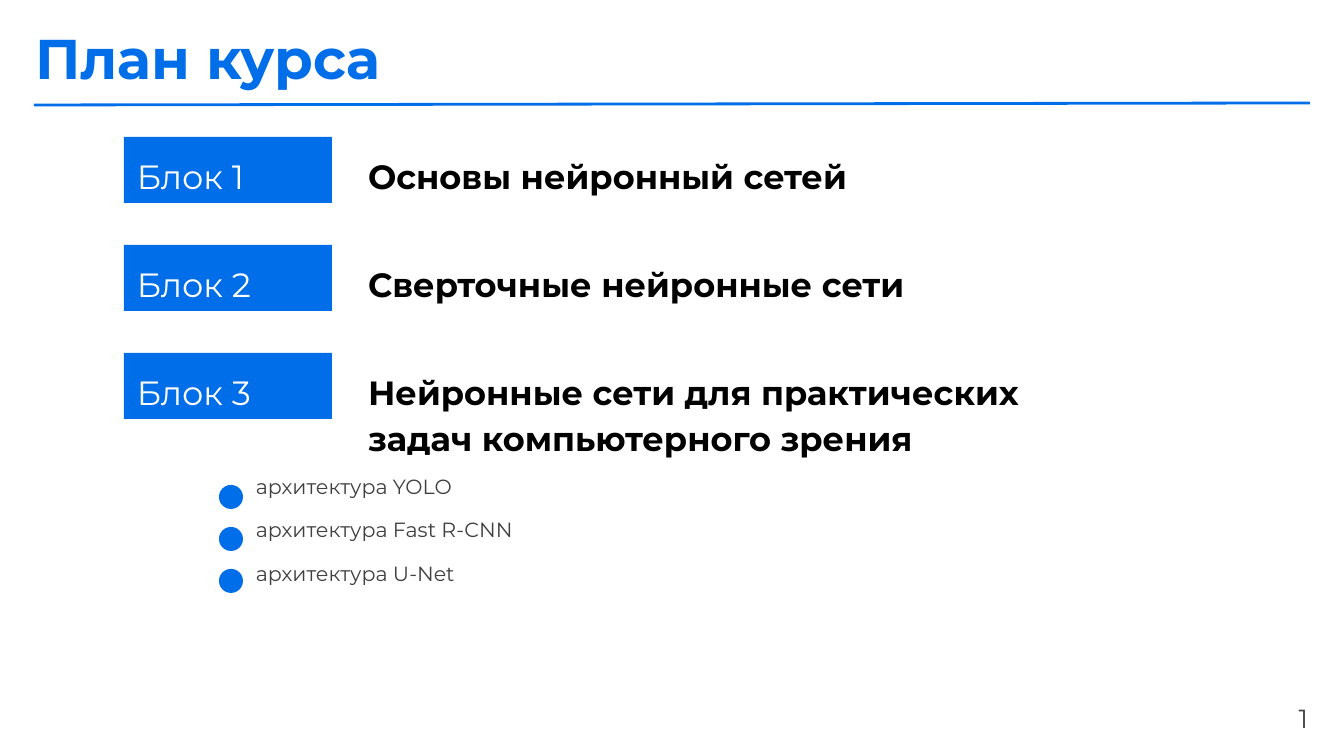
"""Build the course plan slide: three titled blocks and a list of architectures."""
from dataclasses import dataclass

from lxml.etree import SubElement
from pptx import Presentation
from pptx.dml.color import RGBColor
from pptx.enum.shapes import MSO_CONNECTOR, MSO_SHAPE
from pptx.enum.text import MSO_ANCHOR, PP_ALIGN
from pptx.oxml.ns import qn
from pptx.util import Pt

TITLE = "План курса"
PAGE = "1"
BLOCKS = [
    ("Блок 1", "Основы нейронный сетей"),
    ("Блок 2", "Сверточные нейронные сети"),
    ("Блок 3", "Нейронные сети для практических задач компьютерного зрения"),
]
ARCHITECTURES = ["архитектура YOLO", "архитектура Fast R-CNN", "архитектура U-Net"]


@dataclass(frozen=True)
class Theme:
    font: str = "Montserrat"
    blue: str = "006EE8"
    white: str = "FFFFFF"
    black: str = "000000"
    grey: str = "404040"
    page_grey: str = "434343"
    title: int = 30
    block: int = 18
    page: int = 14
    item: int = 11


THEME = Theme()
INSET = 13
BLOCK_TOP, BLOCK_STEP, BLOCK_H = 137, 108, 66
DOT_TOP, DOT_STEP, DOT = 485, 42, 24


def px(n):
    return round(n * 914400 / 134.4)


def rgb(color):
    return RGBColor.from_string(color)


def write(s, lines, size, color, bold=False, align=PP_ALIGN.LEFT, spacing=None, gap=0):
    tf = s.text_frame
    tf.word_wrap = True
    tf.vertical_anchor = MSO_ANCHOR.TOP
    tf.margin_left = tf.margin_right = tf.margin_top = tf.margin_bottom = px(INSET)
    for i, line in enumerate(lines):
        p = tf.paragraphs[0] if i == 0 else tf.add_paragraph()
        p.text = line
        p.alignment = align
        p.line_spacing = spacing
        if i:
            p.space_before = Pt(gap)
        p.font.name = THEME.font
        p.font.size = Pt(size)
        p.font.bold = bold
        p.font.color.rgb = rgb(color)


def add_text(sp, box, lines, size, color, **style):
    write(sp.add_textbox(*map(px, box)), lines, size, color, **style)


def add_blue(sp, kind, box):
    s = sp.add_shape(kind, *map(px, box))
    s.shadow.inherit = False
    s.fill.solid()
    s.fill.fore_color.rgb = rgb(THEME.blue)
    s.line.fill.background()
    return s


def add_rule(sp, ends):
    s = sp.add_connector(MSO_CONNECTOR.STRAIGHT, *map(px, ends))
    s.line.color.rgb = rgb(THEME.blue)
    s.line.width = Pt(1.5)
    SubElement(s._element.spPr, qn("a:effectLst"))


def main():
    prs = Presentation()
    prs.slide_width, prs.slide_height = px(1344), px(756)
    sp = prs.slides.add_slide(prs.slide_layouts[6]).shapes

    add_text(sp, (22, 11, 1009, 94), [TITLE], THEME.title, THEME.blue, bold=True)
    add_rule(sp, (34, 105, 1310, 103))
    add_text(sp, (1242, 689, 79, 52), [PAGE], THEME.page, THEME.page_grey,
             align=PP_ALIGN.RIGHT)

    for i, (label, topic) in enumerate(BLOCKS):
        top = BLOCK_TOP + i * BLOCK_STEP
        s = add_blue(sp, MSO_SHAPE.RECTANGLE, (124, top, 208, BLOCK_H))
        write(s, [label], THEME.block, THEME.white, spacing=1.15)
        add_text(sp, (355, top, 749, BLOCK_H), [topic], THEME.block, THEME.black,
                 bold=True, spacing=1.15)

    add_text(sp, (243, 461, 692, 157), ARCHITECTURES, THEME.item, THEME.grey, gap=10)
    for i in range(len(ARCHITECTURES)):
        add_blue(sp, MSO_SHAPE.OVAL, (219, DOT_TOP + i * DOT_STEP, DOT, DOT))

    prs.save("out.pptx")


if __name__ == "__main__":
    main()
